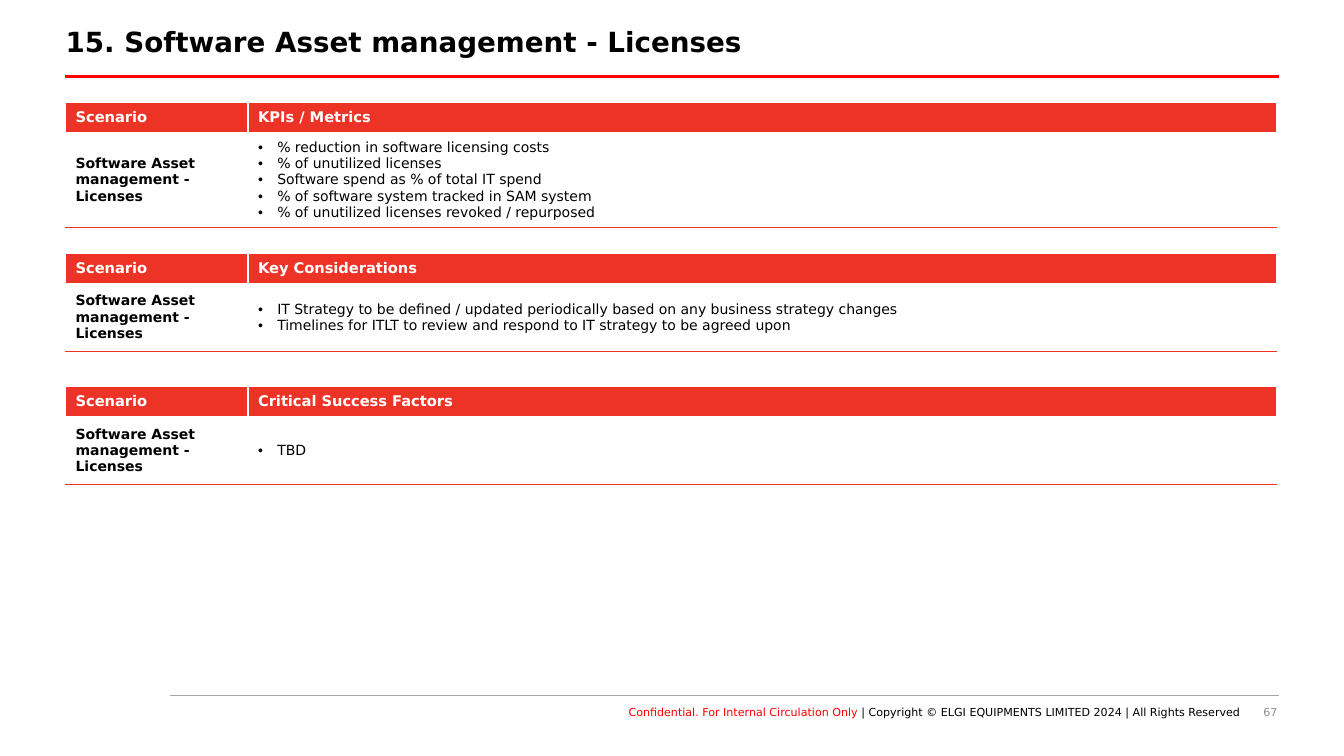
from dataclasses import dataclass

from lxml import etree
from pptx import Presentation
from pptx.dml.color import RGBColor as Rgb
from pptx.enum.shapes import MSO_CONNECTOR as Conn
from pptx.enum.text import MSO_ANCHOR as Anchor, PP_ALIGN as Align
from pptx.oxml.ns import qn
from pptx.util import Inches, Pt


@dataclass(frozen=True)
class Theme:
    face: str = "DejaVu Sans"
    black: str = "000000"
    white: str = "FFFFFF"
    red: str = "FF0000"
    brick: str = "ED3326"
    rule: str = "A6A6A6"
    gray: str = "8C8C8C"
    title: float = 19.8
    head: float = 10.5
    body: float = 10
    foot: float = 7.9


THEME = Theme()
LEFT = 0.65
COLS = (1.81, 10.2)
HEAD = 0.3
TOPIC = "Software Asset management - Licenses"
# Top edge, body row height, heading, points
TABLES = (
    (1.02, 0.93, "KPIs / Metrics", (
        "% reduction in software licensing costs",
        "% of unutilized licenses",
        "Software spend as % of total IT spend",
        "% of software system tracked in SAM system",
        "% of unutilized licenses revoked / repurposed",
    )),
    (2.51, 0.68, "Key Considerations", (
        "IT Strategy to be defined / updated periodically based on any business strategy changes",
        "Timelines for ITLT to review and respond to IT strategy to be agreed upon",
    )),
    (3.83, 0.68, "Critical Success Factors", ("TBD",)),
)


def style(font, size, color, bold=False):
    for name, value in {"name": THEME.face, "size": Pt(size), "bold": bold}.items():
        setattr(font, name, value)
    font.color.rgb = Rgb.from_string(color)


def add_text(slide, box, runs, size, align=Align.LEFT, bold=False, pad=(0, 0, 0, 0)):
    """Add one line of text; runs are (text, color) pairs."""
    frame = slide.shapes.add_textbox(*map(Inches, box)).text_frame
    sides = ("margin_left", "margin_top", "margin_right", "margin_bottom")
    form = dict(zip(sides, map(Inches, pad)))
    form.update(word_wrap=True, vertical_anchor=Anchor.TOP)
    for name, value in form.items():
        setattr(frame, name, value)
    para = frame.paragraphs[0]
    para.alignment = align
    for text, color in runs:
        run = para.add_run()
        run.text = text
        style(run.font, size, color, bold)
    return para


def add_rule(slide, left, top, right, color, width):
    ends = map(Inches, (left, top, right, top))
    line = slide.shapes.add_connector(Conn.STRAIGHT, *ends)
    line.line.color.rgb = Rgb.from_string(color)
    line.line.width = Pt(width)
    etree.SubElement(line._element.spPr, qn("a:effectLst"))


def add_edges(cell, base):
    """Draw white cell borders with a chosen color at the base."""
    props = cell._tc.get_or_add_tcPr()
    for side in "LRTB":
        edge = etree.SubElement(props, qn(f"a:ln{side}"), w=str(Pt(1)))
        fill = etree.SubElement(edge, qn("a:solidFill"))
        color = base if side == "B" else THEME.white
        etree.SubElement(fill, qn("a:srgbClr"), val=color)


def add_bullet(para):
    props = para._p.get_or_add_pPr()
    props.set("marL", str(Inches(0.19)))
    props.set("indent", str(-Inches(0.19)))
    etree.SubElement(props, qn("a:buFont"), typeface="Arial")
    etree.SubElement(props, qn("a:buChar"), char="•")


def fill_cell(cell, lines, size, color, bold=True, back=None, dots=False):
    cell.vertical_anchor = Anchor.MIDDLE
    add_edges(cell, THEME.white if back else THEME.brick)
    if back:
        cell.fill.solid()
        cell.fill.fore_color.rgb = Rgb.from_string(back)
    else:
        cell.fill.background()
    cell.text_frame.text = "\n".join(lines)
    for para in cell.text_frame.paragraphs:
        if dots:
            add_bullet(para)
        for run in para.runs:
            style(run.font, size, color, bold)


def add_grid(slide, top, depth, heading, points):
    box = map(Inches, (LEFT, top, sum(COLS), HEAD + depth))
    table = slide.shapes.add_table(2, 2, *box).table
    table.horz_banding = False
    for col, width in zip(table.columns, COLS):
        col.width = Inches(width)
    for row, height in zip(table.rows, (HEAD, depth)):
        row.height = Inches(height)
    # Header row
    for col, label in enumerate(("Scenario", heading)):
        fill_cell(table.cell(0, col), [label], THEME.head, THEME.white, back=THEME.brick)
    # Body row
    fill_cell(table.cell(1, 0), [TOPIC], THEME.body, THEME.black)
    fill_cell(table.cell(1, 1), points, THEME.body, THEME.black, bold=False, dots=True)


def main():
    deck = Presentation()
    deck.slide_width, deck.slide_height = Inches(13.33), Inches(7.5)
    slide = deck.slides.add_slide(deck.slide_layouts[6])

    # Footer
    add_text(slide, (9.67, 7, 3, 0.2), [("67", THEME.gray)], THEME.foot, Align.RIGHT)
    notice = [
        ("Conﬁdential. For Internal Circulation Only ", THEME.red),
        ("| Copyright © ELGI EQUIPMENTS LIMITED 2024 | All Rights Reserved", THEME.black),
    ]
    add_text(slide, (2.46, 7, 9.84, 0.2), notice, THEME.foot, Align.RIGHT)
    add_rule(slide, 1.69, 6.9, 12.69, THEME.rule, 0.5)

    # Title
    add_rule(slide, 0.64, 0.76, 12.69, THEME.red, 2.25)
    title = add_text(slide, (LEFT, 0.23, sum(COLS), 0.41), [(f"15. {TOPIC}", THEME.black)],
                     THEME.title, bold=True, pad=(0, 0.05, 0.1, 0.05))
    title.line_spacing = 0.9

    # Tables
    for item in TABLES:
        add_grid(slide, *item)

    deck.save("out.pptx")


if __name__ == "__main__":
    main()
